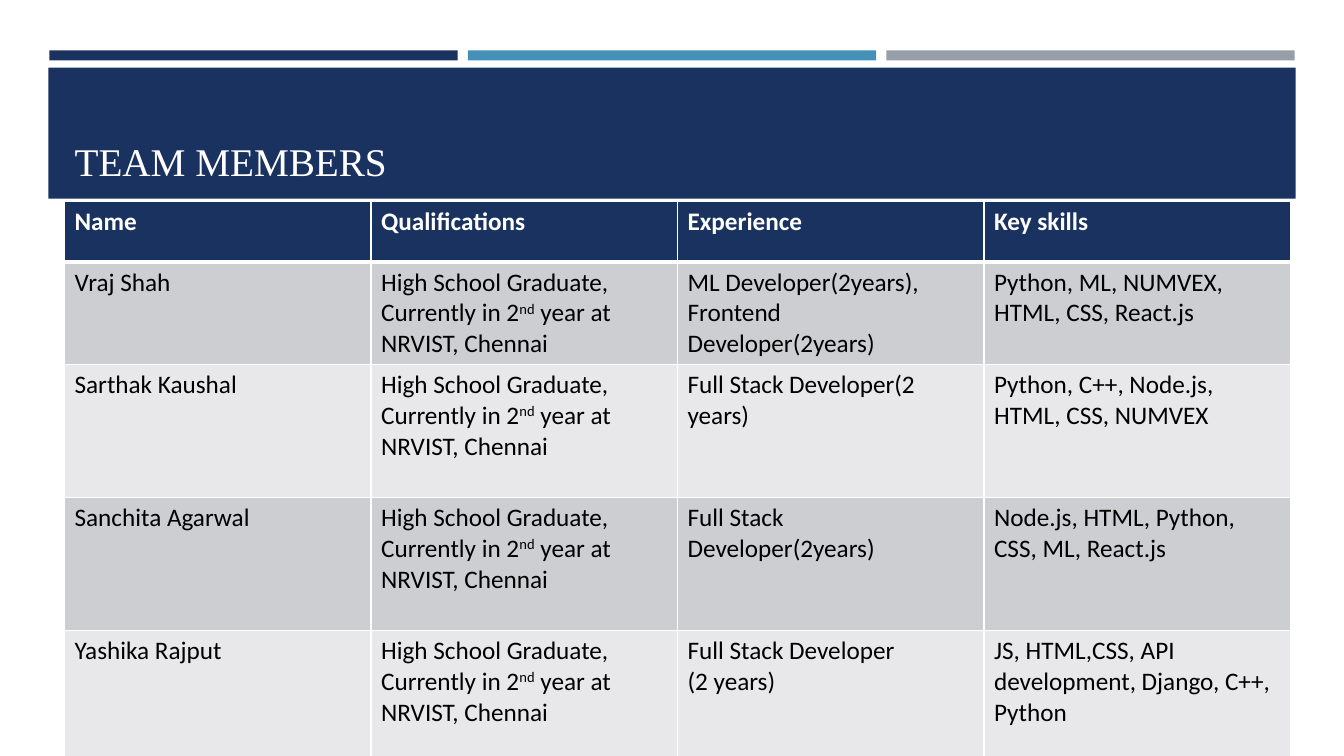
import pptx
import pptx.dml.color
import pptx.enum.shapes
import pptx.enum.text
import pptx.oxml
import pptx.oxml.ns
import pptx.util
from pptx.util import Inches

NAVY, BLUE, GREY, WHITE, BLACK = "1A3260", "4590B8", "969FA7", "FFFFFF", "000000"
BANDS = ["CDCED2", "E8E8EA"]
HEADERS = ["Name", "Qualifications", "Experience", "Key skills"]
QUALIFICATION = [("High School Graduate, Currently in 2", False), ("nd", True),
                 (" year at NRVIST, Chennai", False)]
MEMBERS = [
    ("Vraj Shah", "ML Developer(2years), Frontend Developer(2years)",
     "Python, ML, NUMVEX, HTML, CSS, React.js"),
    ("Sarthak Kaushal", "Full Stack Developer(2 years)",
     "Python, C++, Node.js, HTML, CSS, NUMVEX"),
    ("Sanchita Agarwal", "Full Stack Developer(2years)",
     "Node.js, HTML, Python, CSS, ML, React.js"),
    ("Yashika Rajput", "Full Stack Developer\n(2 years)",
     "JS, HTML,CSS, API development, Django, C++, Python"),
]
COLUMN_WIDTH = 3.04
ROW_HEIGHTS = [0.6, 1.01, 1.32, 1.32, 1.32]


def color(value):
    return pptx.dml.color.RGBColor.from_string(value)


def format_font(font, value, **formats):
    for name, setting in formats.items():
        setattr(font, name, setting)
    font.color.rgb = color(value)


def add_bar(page, left, top, width, height, fill):
    bar = page.shapes.add_shape(pptx.enum.shapes.MSO_SHAPE.RECTANGLE, Inches(left),
                                Inches(top), Inches(width), Inches(height))
    bar.shadow.inherit = False
    bar.fill.solid()
    bar.fill.fore_color.rgb = color(fill)
    bar.line.fill.background()


def set_title(page, text):
    title = page.shapes.title
    box = {"left": 0.64, "top": 0.77, "width": 12.06, "height": 1.11}
    for name, length in box.items():
        setattr(title, name, Inches(length))
    frame = title.text_frame
    frame.text = text
    formats = {"vertical_anchor": pptx.enum.text.MSO_ANCHOR.BOTTOM,
               "auto_size": pptx.enum.text.MSO_AUTO_SIZE.NONE, "word_wrap": True}
    for name, setting in formats.items():
        setattr(frame, name, setting)
    para = frame.paragraphs[0]
    para.alignment = pptx.enum.text.PP_ALIGN.LEFT
    format_font(para.runs[0].font, WHITE, size=pptx.util.Pt(28), name="Times New Roman")
    # Bring the title in front of the banner.
    title.element.getparent().append(title.element)


def set_borders(cell, bottom):
    """Draw white edges; bottom is the width of the lower one in points."""
    properties = cell._tc.get_or_add_tcPr()
    edges = {"lnL": 1, "lnR": 1, "lnT": 1, "lnB": bottom}
    for position, (tag, width) in enumerate(edges.items()):
        edge = pptx.oxml.parse_xml(
            f'<a:{tag} {pptx.oxml.ns.nsdecls("a")} w="{pptx.util.Pt(width)}">'
            f'<a:solidFill><a:srgbClr val="{WHITE}"/></a:solidFill></a:{tag}>')
        properties.insert(position, edge)


def fill_cell(cell, content, fill, text_color, bold=False, bottom=1):
    """Write content, which is plain text or a list of (text, raised) pairs."""
    cell.fill.solid()
    cell.fill.fore_color.rgb = color(fill)
    if isinstance(content, str):
        cell.text_frame.text = content
    else:
        para = cell.text_frame.paragraphs[0]
        for text, raised in content:
            span = para.add_run()
            span.text = text
            if raised:
                span.font._element.set("baseline", "30000")
    for para in cell.text_frame.paragraphs:
        for span in para.runs:
            format_font(span.font, text_color, size=pptx.util.Pt(18),
                        name="Calibri", bold=bold)
    set_borders(cell, bottom)


def add_team_table(page):
    table = page.shapes.add_table(
        len(ROW_HEIGHTS), len(HEADERS), Inches(0.64), Inches(2),
        Inches(COLUMN_WIDTH * len(HEADERS)), Inches(sum(ROW_HEIGHTS))).table
    for column in table.columns:
        column.width = Inches(COLUMN_WIDTH)
    for row, height in zip(table.rows, ROW_HEIGHTS):
        row.height = Inches(height)
    for cell, header in zip(table.rows[0].cells, HEADERS):
        fill_cell(cell, header, NAVY, WHITE, bold=True, bottom=3)
    for index, (name, experience, skills) in enumerate(MEMBERS):
        contents = [name, QUALIFICATION, experience, skills]
        for cell, content in zip(table.rows[index + 1].cells, contents):
            fill_cell(cell, content, BANDS[index % 2], BLACK)


def main():
    deck = pptx.Presentation()
    deck.slide_width, deck.slide_height = Inches(13.33), Inches(7.5)
    page = deck.slides.add_slide(deck.slide_layouts.get_by_name("Title Only"))
    for index, fill in enumerate([NAVY, BLUE, GREY]):
        add_bar(page, 0.49 + 4.15 * index, 0.5, 4.05, 0.1, fill)
    add_bar(page, 0.48, 0.67, 12.37, 1.3, NAVY)
    set_title(page, "TEAM MEMBERS")
    add_team_table(page)
    deck.save("out.pptx")


if __name__ == "__main__":
    main()
